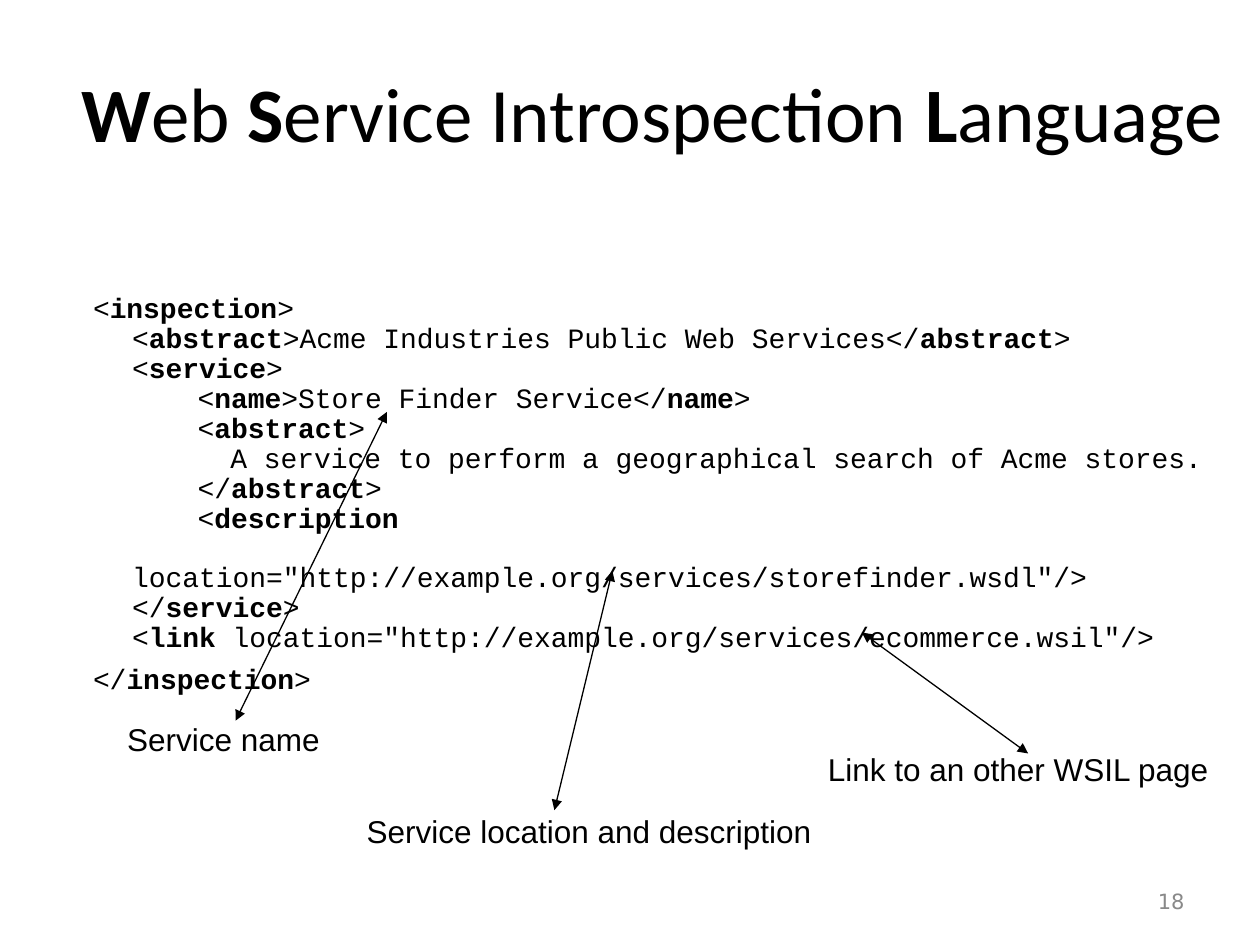
from pptx import Presentation
from pptx.dml.color import RGBColor as Rgb
from pptx.enum.shapes import MSO_CONNECTOR as Conn
from pptx.enum.text import MSO_ANCHOR as Anchor, MSO_AUTO_SIZE as Auto, PP_ALIGN as Align
from pptx.oxml.ns import qn
from pptx.util import Inches, Pt
from lxml.etree import SubElement as Sub

COLORS = {"ink": "000000", "gray": "898989"}
STEP = 0.49
CHAR = 0.13

TITLE = "*W*eb *S*ervice Introspection *L*anguage"

CODE = [
    (0.5, 6.8, "<*inspection*>"),
    (0.81, 0, "<*abstract*>Acme Industries Public Web Services</*abstract*>"),
    (0.81, 0, "<*service*>"),
    (0.81 + 4 * CHAR, 0, "<*name*>Store Finder Service</*name*>"),
    (0.81 + 4 * CHAR, 0, "<*abstract*>"),
    (0.81 + 6 * CHAR, 0, "A service to perform a geographical search of Acme stores."),
    (0.81 + 4 * CHAR, 0, "</*abstract*>"),
    (0.81 + 4 * CHAR, 0, "<*description*"),
    (0.81, 17, 'location="http://example.org/services/storefinder.wsdl"/>'),
    (0.81, 0, "</*service*>"),
    (0.81, 0, '<*link* location="http://example.org/services/ecommerce.wsil"/>'),
    (0.5, 6.8, "</*inspection*>"),
]

NOTES = [
    ("Service name", (1.01, 5.74, 1.58, 0.28), (0.86, -0.02), (3.07, 3.27)),
    ("Service location and description", (2.91, 6.47, 4.09, 0.28), (1.49, -0.04), (4.86, 4.53)),
    ("Link to an other WSIL page", (6.57, 5.98, 3.26, 0.28), (1.59, 0), (6.84, 5.02)),
]


def write(para, text, font="Arial", size=18, color="ink", align=Align.LEFT,
          lead=0.93, before=0, left=0):
    para.alignment = align
    para.line_spacing = lead
    para.space_before = Pt(before)
    props = para._p.get_or_add_pPr()
    props.set("marL", str(Inches(left)))
    props.set("indent", "0")
    for i, part in enumerate(text.split("*")):
        if part:
            run = para.add_run()
            run.text = part
            run.font.name = font
            run.font.size = Pt(size)
            run.font.bold = i % 2 == 1
            run.font.color.rgb = Rgb.from_string(COLORS[color])


def set_frame(shape, box, pad=(0, 0), anchor=Anchor.TOP):
    shape.left, shape.top, shape.width, shape.height = map(Inches, box)
    frame = shape.text_frame
    frame.word_wrap = True
    frame.auto_size = Auto.NONE
    frame.vertical_anchor = anchor
    frame.margin_left = frame.margin_right = Inches(pad[0])
    frame.margin_top = frame.margin_bottom = Inches(pad[1])
    return frame


def add_frame(slide, box, **format):
    return set_frame(slide.shapes.add_textbox(*map(Inches, box)), box, **format)


def add_arrow(slide, start, end):
    line = slide.shapes.add_connector(Conn.STRAIGHT, *map(Inches, start + end))
    line.line.color.rgb = Rgb.from_string(COLORS["ink"])
    line.line.width = Pt(0.75)
    stroke = line.line._get_or_add_ln()
    for tag in ("a:headEnd", "a:tailEnd"):
        Sub(stroke, qn(tag), type="triangle")
    Sub(line._element.spPr, qn("a:effectLst"))


def add_title(slide, box):
    frame = set_frame(slide.shapes.title, box, anchor=Anchor.MIDDLE)
    write(frame.paragraphs[0], TITLE, font="Calibri", size=44, align=Align.CENTER, lead=0.95)


def add_code(slide, box):
    frame = add_frame(slide, box, pad=(0.1, 0.05))
    for i, (left, before, text) in enumerate(CODE):
        para = frame.add_paragraph() if i else frame.paragraphs[0]
        write(para, text, font="Courier New", size=16, lead=0.89, before=before, left=left)


def add_note(slide, box, text, shift, target):
    write(add_frame(slide, box).paragraphs[0], text)
    add_arrow(slide, (box[0] + shift[0], box[1] + shift[1]), target)


def add_number(slide, box):
    frame = add_frame(slide, box, pad=(0.1, 0.05), anchor=Anchor.MIDDLE)
    write(frame.paragraphs[0], "18", font="DejaVu Sans", size=12, color="gray",
          align=Align.RIGHT, lead=1.0)


def main():
    deck = Presentation()
    deck.slide_width, deck.slide_height = Inches(10), Inches(7.5)
    slide = deck.slides.add_slide(deck.slide_layouts[5])
    add_title(slide, (0.5, 0.3, 9.35, 1.25))
    add_code(slide, (0.14, 2.29, 9.66, 3.04))
    for text, box, shift, target in NOTES:
        add_note(slide, box, text, shift, target)
    add_number(slide, (7.17, 6.95, 2.33, 0.4))
    deck.save("out.pptx")


if __name__ == "__main__":
    main()
